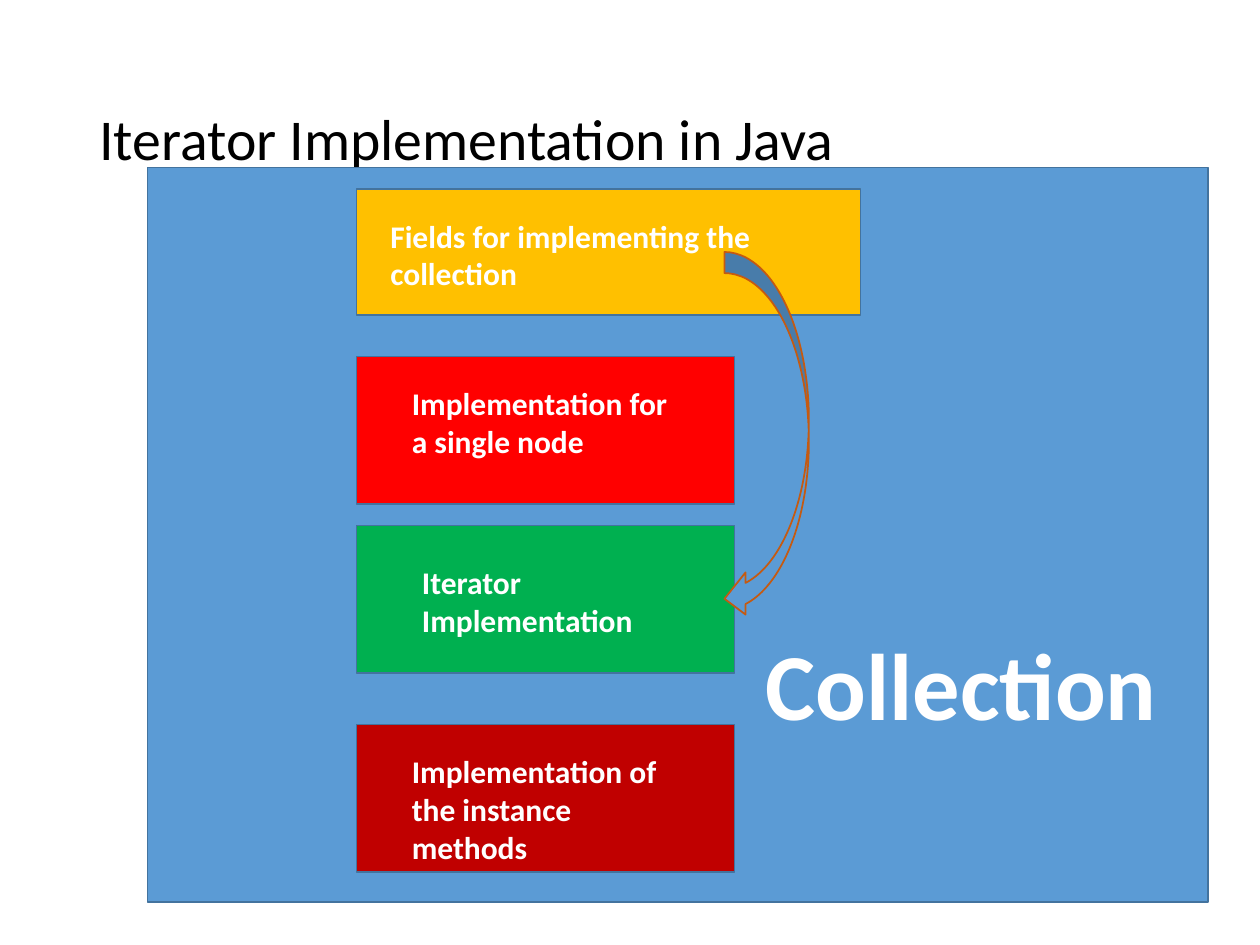
import pptx
import pptx.dml.color
import pptx.enum.shapes
import pptx.enum.text
import pptx.util
from dataclasses import dataclass

Inches = pptx.util.Inches
SHAPES = pptx.enum.shapes.MSO_SHAPE
ANCHORS = pptx.enum.text.MSO_ANCHOR


@dataclass(frozen=True)
class Theme:
    """Colours, font and type sizes of the slide."""
    font: str = "Calibri"
    ink: str = "000000"
    white: str = "FFFFFF"
    panel: str = "5B9BD5"
    outline: str = "43739E"
    arrow_outline: str = "C55A11"
    fields: str = "FFC000"
    node: str = "FF0000"
    iterator: str = "00B050"
    methods: str = "C00000"
    title_size: int = 33
    label_size: int = 18
    name_size: int = 54


THEME = Theme()


def rgb(code):
    """Turn a hex code into a colour."""
    return pptx.dml.color.RGBColor.from_string(code)


def add_text(slide, text, box, size=THEME.label_size, color=THEME.white,
             bold=True, anchor=ANCHORS.TOP, spacing=1.0):
    """Place wrapped text, one paragraph per line, in a box in inches."""
    frame = slide.shapes.add_textbox(*map(Inches, box)).text_frame
    frame.word_wrap = True
    frame.vertical_anchor = anchor
    frame.text = text
    for paragraph in frame.paragraphs:
        paragraph.line_spacing = spacing
        font = paragraph.runs[0].font
        font.name, font.size, font.bold = THEME.font, pptx.util.Pt(size), bold
        font.color.rgb = rgb(color)


def add_block(slide, box, fill, outline=THEME.outline, kind=SHAPES.RECTANGLE):
    """Draw a filled, outlined shape in a box in inches."""
    block = slide.shapes.add_shape(kind, *map(Inches, box))
    block.shadow.inherit = False
    block.fill.solid()
    block.fill.fore_color.rgb = rgb(fill)
    block.line.color.rgb = rgb(outline)
    block.line.width = pptx.util.Pt(1)


def add_title(slide, box):
    """Place the slide title."""
    add_text(slide, "Iterator Implementation in Java", box, size=THEME.title_size,
             color=THEME.ink, bold=False, anchor=ANCHORS.MIDDLE, spacing=0.9)


def add_collection(slide, box):
    """Draw the collection class with its members, relative to its box."""
    left, top, _, _ = box
    add_block(slide, box, THEME.panel)

    # Top, width, height and fill of each member; then its label and label box.
    members = [
        (0.17, 4, 1, THEME.fields,
         "Fields for implementing the collection", (0.17, 0.17, 3.67, 0.71)),
        (1.5, 3, 1.17, THEME.node,
         "Implementation for a single node", (0.34, 0.17, 2.25, 0.71)),
        (2.84, 3, 1.17, THEME.iterator,
         "Iterator\nImplementation", (0.42, 0.25, 2.42, 0.71)),
        (4.42, 3, 1.17, THEME.methods,
         "Implementation of the instance methods", (0.34, 0.17, 2.33, 1.01)),
    ]
    member_left = left + 1.66
    for offset, width, height, fill, label, (dx, dy, label_w, label_h) in members:
        member_top = top + offset
        add_block(slide, (member_left, member_top, width, height), fill)
        add_text(slide, label, (member_left + dx, member_top + dy, label_w, label_h))

    add_block(slide, (left + 4.58, top + 0.67, 0.67, 2.92), THEME.panel,
              outline=THEME.arrow_outline, kind=SHAPES.CURVED_LEFT_ARROW)
    add_text(slide, "Collection", (left + 4.81, top + 3.59, 3.33, 1.01),
             size=THEME.name_size)


def main():
    """Build and save the slide."""
    deck = pptx.Presentation()
    deck.slide_width, deck.slide_height = Inches(10), Inches(7.5)
    slide = deck.slides.add_slide(deck.slide_layouts[6])
    add_title(slide, (0.69, 0.4, 8.62, 1.45))
    add_collection(slide, (1.17, 1.33, 8.42, 5.83))
    deck.save("out.pptx")


main()
